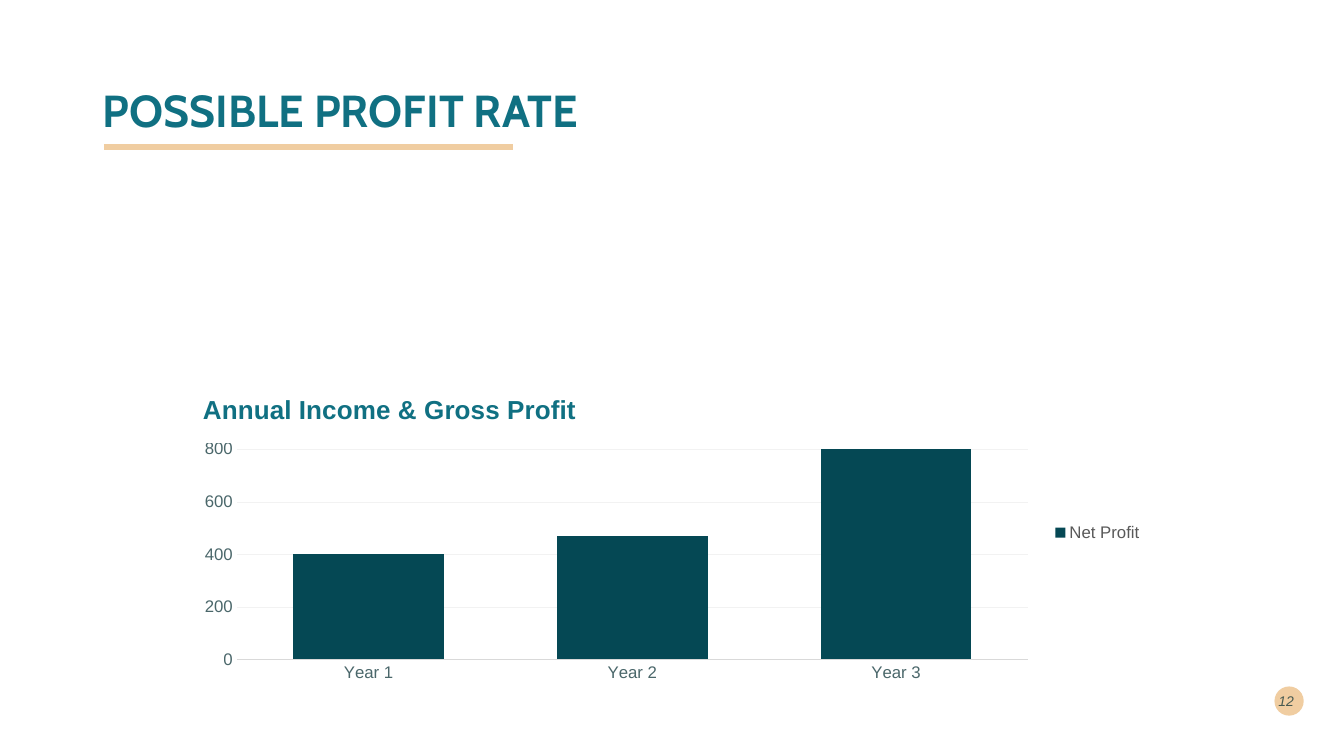
import dataclasses

import pptx
import pptx.chart.data
import pptx.dml.color
import pptx.enum.chart
import pptx.enum.shapes
import pptx.enum.text
import pptx.oxml
import pptx.oxml.ns
import pptx.util

RGBColor = pptx.dml.color.RGBColor
TEAL = RGBColor(0x10, 0x70, 0x82)
DARK_TEAL = RGBColor(0x05, 0x48, 0x54)
INK = RGBColor(0x00, 0x29, 0x2E)
SAND = RGBColor(0xF0, 0xCD, 0xA1)
GREY = RGBColor(0x59, 0x59, 0x59)
AXIS_GREY = RGBColor(0xD9, 0xD9, 0xD9)
GRID_GREY = RGBColor(0xF2, 0xF2, 0xF2)
BLACK = RGBColor(0, 0, 0)
EMU_PER_PX = 9144  # 100 px to the inch
qn = pptx.oxml.ns.qn


@dataclasses.dataclass
class Label:
    text: str
    box: tuple[int, int, int, int]
    font: str
    size: float
    color: RGBColor
    align: pptx.enum.text.PP_ALIGN
    bold: bool = False
    italic: bool = False
    line_spacing: float = 1.0


def px(n: int) -> int:
    return pptx.util.Emu(n * EMU_PER_PX)


def style_font(font, name: str, size: float, color: RGBColor,
               bold: bool = False, italic: bool = False) -> None:
    font.name, font.size = name, pptx.util.Pt(size)
    font.bold, font.italic = bold, italic
    font.color.rgb = color


def soften_ink(element) -> None:
    """Make all ink-coloured text 70% opaque."""
    for clr in element.iter(qn("a:srgbClr")):
        if clr.get("val") == str(INK):
            clr.append(pptx.oxml.parse_xml(
                f'<a:alpha {pptx.oxml.ns.nsdecls("a")} val="70000"/>'))


def add_label(slide, label: Label) -> None:
    sp = slide.shapes.add_textbox(*map(px, label.box))
    tf = sp.text_frame
    tf.word_wrap = True
    tf.vertical_anchor = pptx.enum.text.MSO_ANCHOR.MIDDLE
    p = tf.paragraphs[0]
    p.alignment, p.line_spacing = label.align, label.line_spacing
    r = p.add_run()
    r.text = label.text
    style_font(r.font, label.font, label.size, label.color, label.bold, label.italic)
    soften_ink(sp.element)


def set_layout(parent, index: int, inner: bool = False, **fractions: float) -> None:
    """Place a chart part by fractions of the chart's size."""
    for old in parent.findall(qn("c:layout")):
        parent.remove(old)
    target = '<c:layoutTarget val="inner"/>' if inner else ""
    modes = "".join(f'<c:{k}Mode val="edge"/>' for k in fractions if k in "xy")
    values = "".join(f'<c:{k} val="{v}"/>' for k, v in fractions.items())
    parent.insert(index, pptx.oxml.parse_xml(
        f'<c:layout {pptx.oxml.ns.nsdecls("c")}><c:manualLayout>'
        f"{target}{modes}{values}</c:manualLayout></c:layout>"))


def add_profit_chart(slide) -> None:
    data = pptx.chart.data.CategoryChartData()
    data.categories = ["Year 1", "Year 2", "Year 3"]
    data.add_series("Net Profit", [400, 470, 950])
    chart = slide.shapes.add_chart(
        pptx.enum.chart.XL_CHART_TYPE.COLUMN_CLUSTERED,
        *map(px, (187, 375, 957, 307)), data).chart
    style_font(chart.font, "Arial", 10, BLACK)

    # Columns
    plot = chart.plots[0]
    plot.vary_by_categories = False
    plot.gap_width, plot.overlap = 75, -12
    fill = plot.series[0].format.fill
    fill.solid()
    fill.fore_color.rgb = DARK_TEAL

    # Chart title
    chart.has_title = True
    r = chart.chart_title.text_frame.paragraphs[0].add_run()
    r.text = "Annual Income & Gross Profit"
    style_font(r.font, "Arial", 18.6, TEAL, bold=True)

    # Axes and grid
    for axis in (chart.category_axis, chart.value_axis):
        axis.major_tick_mark = pptx.enum.chart.XL_TICK_MARK.NONE
        axis.minor_tick_mark = pptx.enum.chart.XL_TICK_MARK.NONE
        style_font(axis.tick_labels.font, "Arial", 12, INK)
    line = chart.category_axis.format.line
    line.color.rgb, line.width = AXIS_GREY, pptx.util.Pt(0.75)
    values = chart.value_axis
    values.minimum_scale, values.maximum_scale, values.major_unit = 0, 800, 200
    values.format.line.fill.background()
    grid = values.major_gridlines.format.line
    grid.color.rgb, grid.width = GRID_GREY, pptx.util.Pt(0.25)

    # Legend
    chart.has_legend = True
    chart.legend.position = pptx.enum.chart.XL_LEGEND_POSITION.RIGHT
    chart.legend.include_in_layout = False
    style_font(chart.legend.font, "Arial", 12, GREY)

    # Placement inside the chart
    root = chart.element.find(qn("c:chart"))
    set_layout(root.find(qn("c:title")), 1, x=0.01, y=0.03)
    set_layout(root.find(qn("c:plotArea")), 0, inner=True, x=0.05, y=0.23, w=0.82, h=0.68)
    soften_ink(chart.element)


def main() -> None:
    prs = pptx.Presentation()
    prs.slide_width, prs.slide_height = px(1333), px(750)
    s = prs.slides.add_slide(prs.slide_layouts[6])
    align = pptx.enum.text.PP_ALIGN

    # Page number disc
    disc = s.shapes.add_shape(pptx.enum.shapes.MSO_SHAPE.OVAL,
                              *map(px, (1264, 681, 29, 29)))
    disc.shadow.inherit = False
    disc.fill.solid()
    disc.fill.fore_color.rgb = SAND
    disc.line.fill.background()

    # Heading and page number
    for label in (
        Label("POSSIBLE PROFIT RATE", (92, 40, 1150, 145), "Cabin", 32, TEAL,
              align.LEFT, bold=True, line_spacing=0.9),
        Label("12", (1254, 675, 39, 40), "Arial", 10, INK, align.RIGHT, italic=True),
    ):
        add_label(s, label)

    # Heading rule
    rule = s.shapes.add_connector(pptx.enum.shapes.MSO_CONNECTOR.STRAIGHT,
                                  *map(px, (103, 146, 509, 146)))
    rule.line.color.rgb, rule.line.width = SAND, pptx.util.Pt(4.32)
    rule.element.spPr.append(pptx.oxml.parse_xml(
        f'<a:effectLst {pptx.oxml.ns.nsdecls("a")}/>'))

    add_profit_chart(s)
    prs.save("out.pptx")


if __name__ == "__main__":
    main()
